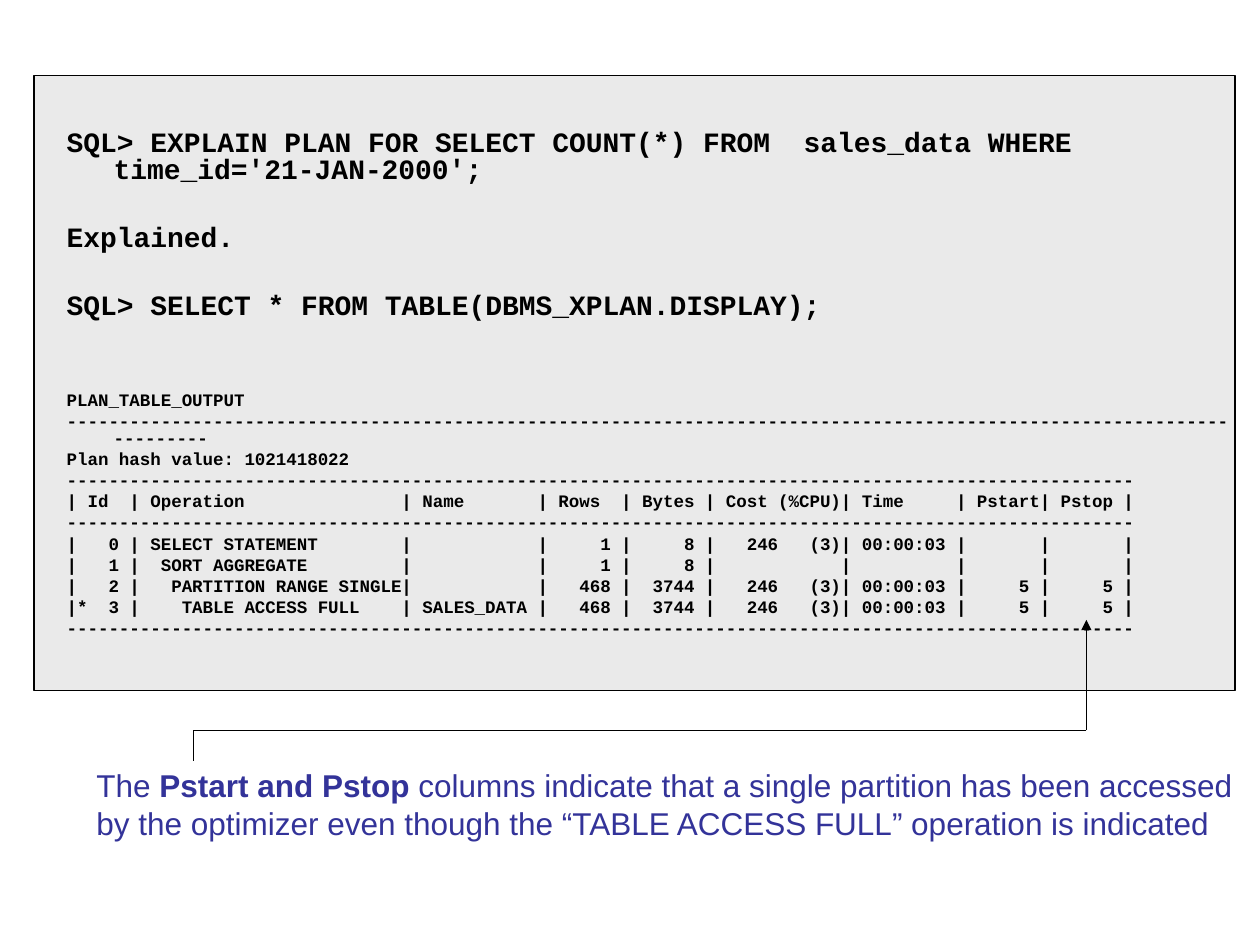
from lxml.etree import SubElement
from pptx import Presentation
from pptx.dml.color import RGBColor as Rgb
from pptx.enum.shapes import MSO_CONNECTOR as Link, MSO_SHAPE as Shape
from pptx.oxml.ns import qn
from pptx.util import Pt

HUES = {"ink": "000000", "panel": "EAEAEA", "note": "333399"}
MONO, SANS = "Courier New", "Arial"
HEAD = "| {:<4}| {:<24}| {:<11}| {:<6}| {:<6}| {:<11}| {:<9}| {:<6}| {:<6}|"
BODY = "|{:1}{:>3} | {:<24}| {:<11}|{:>6} |{:>6} |{:>6}{:>6}| {:<9}|{:>6} |{:>6} |"
NAMES = ("Id", "Operation", "Name", "Rows", "Bytes", "Cost (%CPU)", "Time",
         "Pstart", "Pstop")
COST = ("246", "(3)", "00:00:03")
STEPS = [
    ("", "SELECT STATEMENT", "", 1, 8, *COST, "", ""),
    ("", "SORT AGGREGATE", "", 1, 8, "", "", "", "", ""),
    ("", "PARTITION RANGE SINGLE", "", 468, 3744, *COST, 5, 5),
    ("*", "TABLE ACCESS FULL", "SALES_DATA", 468, 3744, *COST, 5, 5),
]
QUERY = [
    ("SQL> EXPLAIN PLAN FOR SELECT COUNT(*) FROM  sales_data WHERE "
     "time_id='21-JAN-2000';", 4),
    ("Explained.", 23.4),
    ("SQL> SELECT * FROM TABLE(DBMS_XPLAN.DISPLAY);", 23.4),
]


def add_box(slide, left, top, width, height, wrap=True):
    """Add a text box and return its frame."""
    frame = slide.shapes.add_textbox(Pt(left), Pt(top), Pt(width), Pt(height)).text_frame
    frame.word_wrap = wrap
    return frame


def add_text(frame, text, size, font, hue, bold=False, lead=None, gap=0, hang=0):
    """Add a paragraph whose parts between bars switch bold on and off."""
    first = frame.paragraphs[0]
    para = frame.add_paragraph() if first.runs else first
    para.line_spacing, para.space_before = lead, Pt(gap)
    if hang:
        props = para._p.get_or_add_pPr()
        props.set("marL", str(Pt(hang)))
        props.set("indent", str(-Pt(hang)))
    for part in [text] if isinstance(text, str) else text:
        run = para.add_run()
        run.text = part
        run.font.size, run.font.name, run.font.bold = Pt(size), font, bold
        run.font.color.rgb = Rgb.from_string(HUES[hue])
        bold = not bold


def plan_rows():
    """Return the lines of the plan table."""
    rule = "-" * 102
    rows = [BODY.format(mark, num, " " * num + name, *rest)
            for num, (mark, name, *rest) in enumerate(STEPS)]
    return ["PLAN_TABLE_OUTPUT", "-" * 120, "Plan hash value: 1021418022",
            rule, HEAD.format(*NAMES), rule, *rows, rule]


def add_panel(slide, left, top, width, height):
    """Draw the console panel with the query and its plan."""
    panel = slide.shapes.add_shape(Shape.RECTANGLE, Pt(left), Pt(top), Pt(width), Pt(height))
    panel.shadow.inherit = False
    panel.fill.solid()
    panel.fill.fore_color.rgb = Rgb.from_string(HUES["panel"])
    panel.line.color.rgb = Rgb.from_string(HUES["ink"])
    panel.line.width = Pt(0.75)
    frame = add_box(slide, left + 11.5, top + 28.1, width - 2.9, height + 36.7)
    look = dict(font=MONO, hue="ink", bold=True, lead=0.8, hang=26.9)
    for text, gap in QUERY:
        add_text(frame, text, 16, gap=gap, **look)
    for num, text in enumerate(plan_rows()):
        add_text(frame, text, 10, gap=2.5 if num else 41.3, **look)


def add_note(slide, left, top, width, height):
    """Write the remark below the panel."""
    frame = add_box(slide, left, top, width, height, wrap=False)
    look = dict(size=18, font=SANS, hue="note")
    add_text(frame, ("The ", "Pstart and Pstop",
                     " columns indicate that a single partition has been accessed"), **look)
    add_text(frame, "by the optimizer even though the “TABLE ACCESS FULL” "
                    "operation is indicated", **look)


def add_arrow(slide, left, top, width, height, drop):
    """Draw an angled arrow from the box's lower left to its upper right."""
    bend = top + height - drop
    right = left + width
    spots = [(left, top + height), (left, bend), (right, bend), (right, top)]
    for start, end in zip(spots, spots[1:]):
        line = slide.shapes.add_connector(Link.STRAIGHT, *map(Pt, start + end))
        line.line.color.rgb = Rgb.from_string(HUES["ink"])
        line.line.width = Pt(0.75)
        if end == spots[-1]:
            SubElement(line.line._get_or_add_ln(), qn("a:tailEnd"), type="triangle")
        SubElement(line._element.spPr, qn("a:effectLst"))


def main():
    """Build and save the slide."""
    deck = Presentation()
    deck.slide_width, deck.slide_height = Pt(720), Pt(540)
    slide = deck.slides.add_slide(deck.slide_layouts[6])
    add_panel(slide, 19.5, 43.2, 686.2, 351.4)
    add_note(slide, 48, 434.2, 669, 50.4)
    add_arrow(slide, 110.4, 354.2, 510.4, 80.6, drop=17.4)
    deck.save("out.pptx")


if __name__ == "__main__":
    main()
